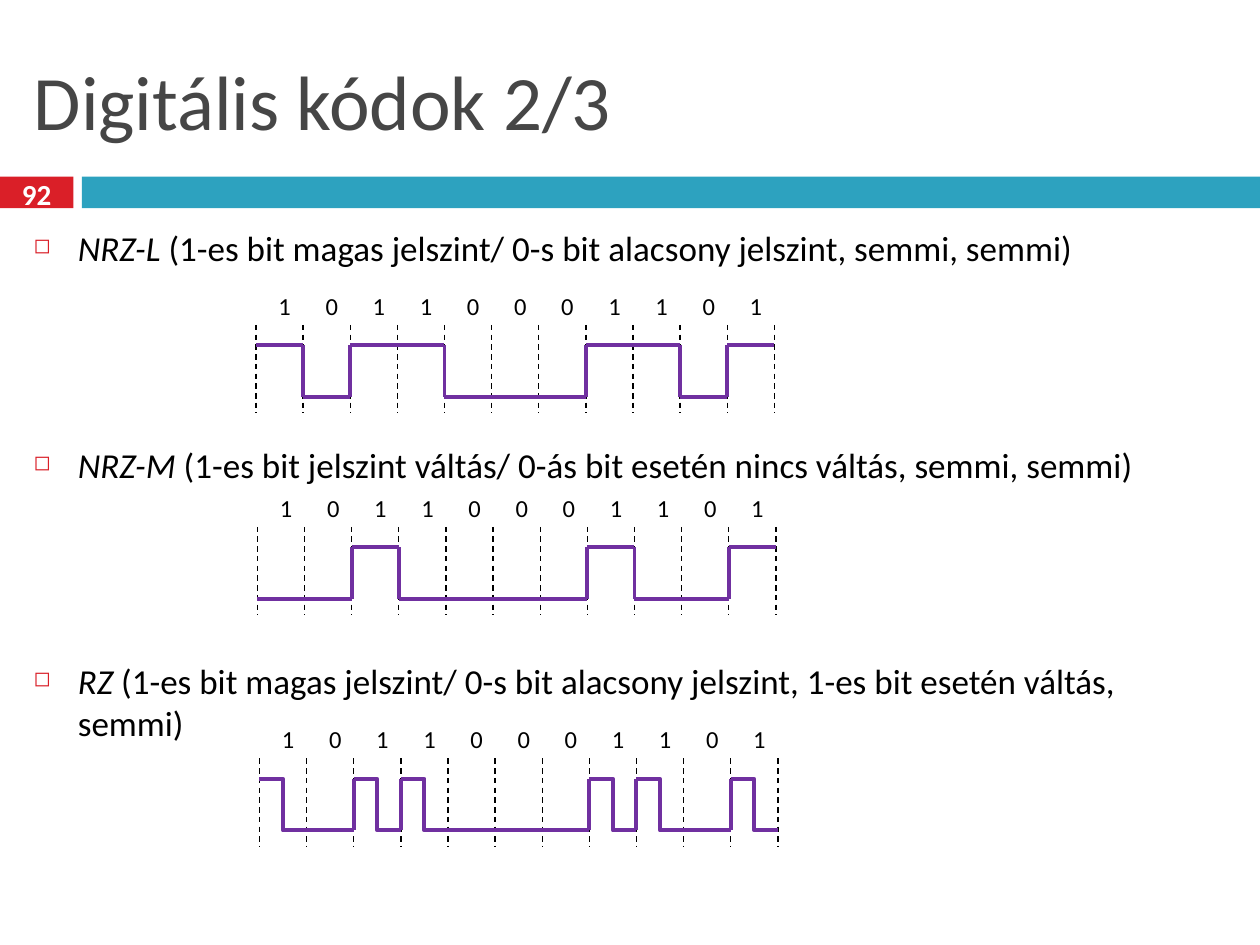
from lxml import etree
from pptx import Presentation
from pptx import util as u
from pptx.dml.color import RGBColor
from pptx.enum import dml, shapes, text
from pptx.oxml.ns import qn

TITLE = "Digitális kódok 2/3"
PAGE = "92"
BITS = "10110001101"
# name, description, wave (H high, L low, P pulse), left and top of the diagram in cm
CODES = [
    ("NRZ-L", " (1-es bit magas jelszint/ 0-s bit alacsony jelszint, semmi, semmi)",
     "HLHHLLLHHLH", 5.16, 6.55),
    ("NRZ-M", " (1-es bit jelszint váltás/ 0-ás bit esetén nincs váltás, semmi, semmi)",
     "LLHLLLLHLLH", 5.19, 10.62),
    ("RZ", " (1-es bit magas jelszint/ 0-s bit alacsony jelszint, 1-es bit esetén váltás, semmi)",
     "PLPPLLLPPLP", 5.23, 15.29),
]
COL = {"red": "DA1F28", "teal": "2DA2BF", "title": "464646",
       "ink": "000000", "wave": "7030A0", "white": "FFFFFF"}
FONT = "Calibri"
STEP, TALL = 0.95, 1.78      # width of one bit, height of the grid
HIGH, LOW = 0.41, 1.45       # signal levels below the grid top

LINE = shapes.MSO_CONNECTOR
MID = text.MSO_ANCHOR.MIDDLE

deck = Presentation()
deck.slide_width, deck.slide_height = u.Cm(25.4), u.Cm(19.05)
page = deck.slides.add_slide(deck.slide_layouts[6])


def rgb(name):
    return RGBColor.from_string(COL[name])


def bar(x, y, w, h, fill):
    box = page.shapes.add_shape(shapes.MSO_SHAPE.RECTANGLE, *map(u.Cm, (x, y, w, h)))
    box.shadow.inherit = False
    box.fill.solid()
    box.fill.fore_color.rgb = rgb(fill)
    box.line.fill.background()


def frame(x, y, w, h, anchor=text.MSO_ANCHOR.TOP):
    box = page.shapes.add_textbox(*map(u.Cm, (x, y, w, h)))
    box.text_frame.word_wrap = True
    box.text_frame.vertical_anchor = anchor
    return box.text_frame


def write(para, words, size, color="ink", bold=False, italic=False):
    run = para.add_run()
    run.text = words
    font = run.font
    font.name, font.size, font.bold, font.italic = FONT, u.Pt(size), bold, italic
    font.color.rgb = rgb(color)


def add(node, tag, **attrs):
    return etree.SubElement(node, qn(tag), attrs)


def bullet(para):
    props = para._p.get_or_add_pPr()
    props.set("marL", str(u.Cm(0.89)))
    props.set("indent", str(u.Cm(-0.89)))
    add(add(props, "a:buClr"), "a:srgbClr", val=COL["red"])
    add(props, "a:buSzPct", val="60000")
    add(props, "a:buChar", char="◻")


def link(x1, y1, x2, y2, color="wave", width=2.25, kind=LINE.STRAIGHT):
    wire = page.shapes.add_connector(kind, *map(u.Cm, (x1, y1, x2, y2)))
    wire.line.color.rgb = rgb(color)
    wire.line.width = u.Pt(width)
    add(wire._element.spPr, "a:effectLst")
    return wire


def grid(left, top):
    for i in range(len(BITS) + 1):
        x = left + i * STEP
        rule = link(x, top, x, top + TALL, "ink", 0.79)
        rule.line.dash_style = dml.MSO_LINE.DASH


def label(left, top):
    """Write the bits above the grid, one centred tab stop per bit."""
    para = frame(left - 0.03, top - 0.81, 11.38, 0.86).paragraphs[0]
    tabs = add(para._p.get_or_add_pPr(), "a:tabLst")
    for i in range(len(BITS)):
        add(tabs, "a:tab", pos=str(u.Cm(0.36 + i * STEP)), algn="ctr")
    write(para, "\t" + "\t".join(BITS), 14)


def signal(wave, left, top):
    high, low = top + HIGH, top + LOW
    last = None
    for i, bit in enumerate(wave):
        x = left + i * STEP
        start = low if bit == "L" else high
        end = high if bit == "H" else low
        if last not in (None, start):
            link(x, high, x, low)
        kind = LINE.ELBOW if bit == "P" else LINE.STRAIGHT
        link(x, start, x + STEP, end, kind=kind)
        last = end


bar(0, 3.56, 1.48, 0.64, "red")
bar(1.65, 3.56, 23.75, 0.64, "teal")
write(frame(0.43, 0.64, 24.55, 2.74, MID).paragraphs[0], TITLE, 44, "title")

body = frame(0.43, 4.45, 24.5, 14.17)
for n, (name, about, wave, left, top) in enumerate(CODES):
    para = body.add_paragraph() if n else body.paragraphs[0]
    if n:
        para.space_before = u.Pt(99.6)
    bullet(para)
    write(para, name, 20, italic=True)
    write(para, about, 20)
    grid(left, top)
    label(left, top)
    signal(wave, left, top)

para = frame(0, 3.48, 1.48, 0.84, MID).paragraphs[0]
para.alignment = text.PP_ALIGN.CENTER
write(para, PAGE, 16.6, "white", bold=True)

deck.save("out.pptx")
